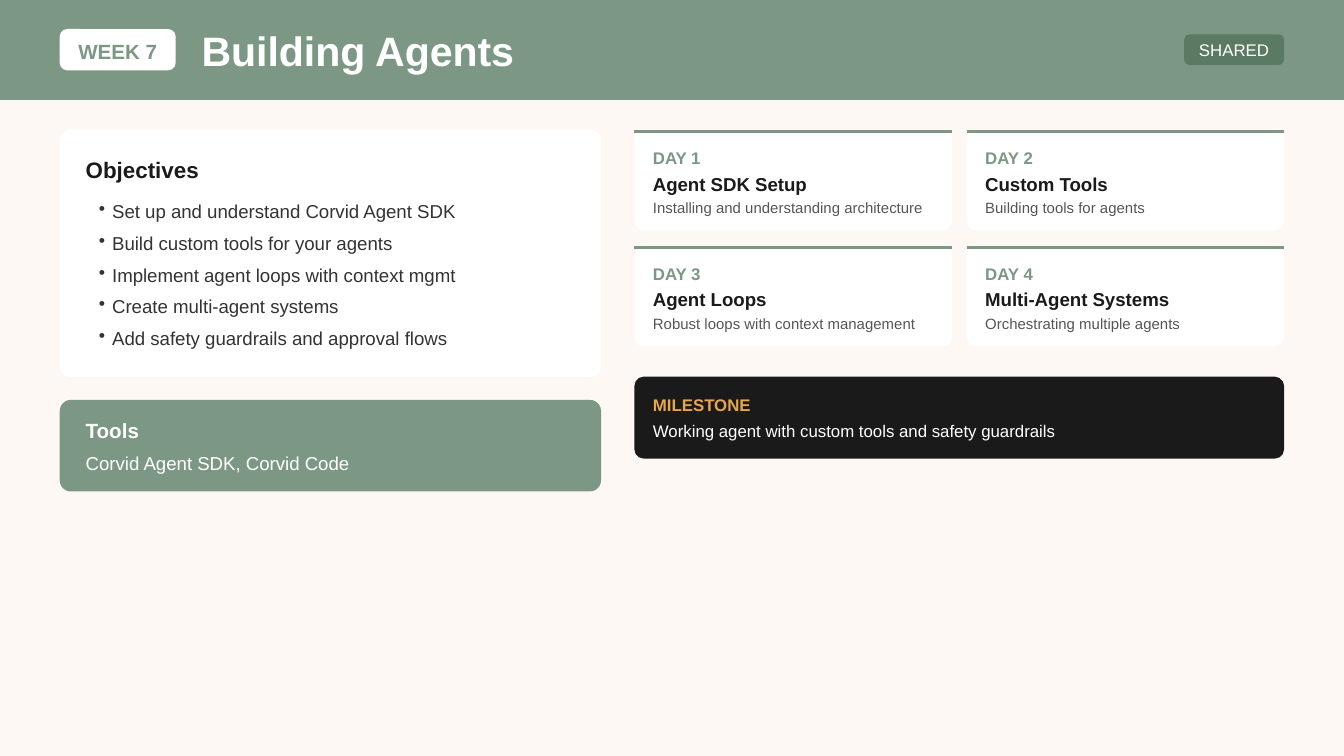
from dataclasses import dataclass

from lxml import etree
from pptx import Presentation
from pptx.dml.color import RGBColor
from pptx.enum.shapes import MSO_CONNECTOR, MSO_SHAPE
from pptx.enum.text import MSO_ANCHOR, MSO_AUTO_SIZE, PP_ALIGN
from pptx.oxml.ns import qn
from pptx.util import Cm, Pt

RECTANGLE = MSO_SHAPE.RECTANGLE
ROUNDED = MSO_SHAPE.ROUNDED_RECTANGLE
STRAIGHT = MSO_CONNECTOR.STRAIGHT
TOP = MSO_ANCHOR.TOP
LEFT = PP_ALIGN.LEFT
NO_AUTOFIT = MSO_AUTO_SIZE.NONE
TITLE_ONLY = 5


@dataclass(frozen=True)
class Theme:
    font: str = "Arial"
    cream: str = "FDF8F3"
    sage: str = "7C9885"
    moss: str = "5A7A63"
    white: str = "FFFFFF"
    ink: str = "1A1A1A"
    body: str = "333333"
    muted: str = "555555"
    amber: str = "E8A54B"
    title_size: int = 22
    heading_size: int = 12
    label_size: int = 11
    body_size: int = 10
    small_size: int = 9
    caption_size: int = 8


class SlideBuilder:
    def __init__(self, page, theme):
        self.page = page
        self.theme = theme
        fill = page.background.fill
        fill.solid()
        fill.fore_color.rgb = RGBColor.from_string(theme.cream)

    def panel(self, left, top, width, height, color, corner=None):
        kind = RECTANGLE if corner is None else ROUNDED
        box = self.page.shapes.add_shape(kind, Cm(left), Cm(top), Cm(width), Cm(height))
        if corner is not None:
            box.adjustments[0] = corner / height
        box.shadow.inherit = False
        box.fill.solid()
        box.fill.fore_color.rgb = RGBColor.from_string(color)
        box.line.fill.background()

    def rule(self, left, top, width, color):
        line = self.page.shapes.add_connector(
            STRAIGHT, Cm(left), Cm(top), Cm(left + width), Cm(top))
        line.line.color.rgb = RGBColor.from_string(color)
        line.line.width = Pt(1.5)
        etree.SubElement(line._element.spPr, qn("a:effectLst"))

    def fill_text(self, box, lines, size, color, bold=False):
        frame = box.text_frame
        frame.word_wrap = True
        frame.auto_size = NO_AUTOFIT
        frame.vertical_anchor = TOP
        frame.margin_left = frame.margin_top = 0
        frame.margin_right = frame.margin_bottom = 0
        for index, line in enumerate(lines):
            para = frame.add_paragraph() if index else frame.paragraphs[0]
            para.alignment = LEFT
            span = para.add_run()
            span.text = line
            span.font.name = self.theme.font
            span.font.size = Pt(size)
            span.font.bold = bold
            span.font.color.rgb = RGBColor.from_string(color)
        return frame

    def text(self, left, top, width, height, line, size, color, bold=False):
        box = self.page.shapes.add_textbox(Cm(left), Cm(top), Cm(width), Cm(height))
        self.fill_text(box, [line], size, color, bold)

    def title(self, left, top, width, height, line):
        box = self.page.shapes.title
        box.left, box.top, box.width, box.height = Cm(left), Cm(top), Cm(width), Cm(height)
        self.page.shapes._spTree.append(box._element)
        self.fill_text(box, [line], self.theme.title_size, self.theme.white, True)

    def bullets(self, left, top, width, height, lines):
        box = self.page.shapes.add_textbox(Cm(left), Cm(top), Cm(width), Cm(height))
        frame = self.fill_text(box, lines, self.theme.body_size, self.theme.body)
        frame.margin_left = Cm(0.25)
        for para in frame.paragraphs:
            para.space_after = Pt(5)
            properties = para._p.get_or_add_pPr()
            properties.set("marL", str(Cm(0.25)))
            properties.set("indent", str(-Cm(0.25)))
            etree.SubElement(properties, qn("a:buChar"), char="•")

    def day_card(self, left, top, width, height, label, topic, summary):
        theme = self.theme
        self.panel(left, top, width, height, theme.white, 0.18)
        self.rule(left, top + 0.04, width, theme.sage)
        inset = left + 0.35
        self.text(inset, top + 0.34, 5.4, 0.37, label, theme.small_size, theme.sage, True)
        self.text(inset, top + 0.81, 5.4, 0.41, topic, theme.body_size, theme.ink, True)
        self.text(inset, top + 1.31, 5.4, 0.32, summary, theme.caption_size, theme.muted)


def main():
    theme = Theme()
    deck = Presentation()
    deck.slide_width, deck.slide_height = Cm(25.4), Cm(14.29)
    page = deck.slides.add_slide(deck.slide_layouts[TITLE_ONLY])
    builder = SlideBuilder(page, theme)

    margin, inset = 1.13, 1.62
    builder.panel(0, 0, 25.4, 1.89, theme.sage)
    builder.panel(margin, 0.55, 2.19, 0.78, theme.white, 0.14)
    builder.text(1.48, 0.74, 1.6, 0.43, "WEEK 7", theme.label_size, theme.sage, True)
    builder.title(3.81, 0.48, 6.2, 0.9, "Building Agents")
    builder.panel(22.38, 0.65, 1.89, 0.58, theme.moss, 0.11)
    builder.text(22.66, 0.76, 1.5, 0.37, "SHARED", theme.small_size, theme.white)

    column_width = 10.23
    builder.panel(margin, 2.45, column_width, 4.68, theme.white, 0.21)
    builder.text(inset, 2.95, 9.42, 0.48, "Objectives", theme.heading_size, theme.ink, True)
    builder.bullets(inset, 3.78, 9.25, 2.7, [
        "Set up and understand Corvid Agent SDK",
        "Build custom tools for your agents",
        "Implement agent loops with context mgmt",
        "Create multi-agent systems",
        "Add safety guardrails and approval flows",
    ])
    builder.panel(margin, 7.56, column_width, 1.73, theme.sage, 0.21)
    builder.text(inset, 7.9, 9.42, 0.43, "Tools", theme.label_size, theme.white, True)
    builder.text(inset, 8.54, 9.42, 0.41, "Corvid Agent SDK, Corvid Code",
                 theme.body_size, theme.white)

    cards_left, cards_top = 11.99, 2.45
    card_width, card_height, gap = 6, 1.91, 0.28
    days = [
        ("Agent SDK Setup", "Installing and understanding architecture"),
        ("Custom Tools", "Building tools for agents"),
        ("Agent Loops", "Robust loops with context management"),
        ("Multi-Agent Systems", "Orchestrating multiple agents"),
    ]
    for index, (topic, summary) in enumerate(days):
        row, column = divmod(index, 2)
        builder.day_card(cards_left + column * (card_width + gap),
                         cards_top + row * (card_height + gap),
                         card_width, card_height, f"DAY {index + 1}", topic, summary)

    builder.panel(cards_left, 7.12, 2 * card_width + gap, 1.55, theme.ink, 0.18)
    builder.text(cards_left + 0.35, 7.47, 11.8, 0.37, "MILESTONE",
                 theme.small_size, theme.amber, True)
    builder.text(cards_left + 0.35, 7.95, 11.8, 0.37,
                 "Working agent with custom tools and safety guardrails",
                 theme.small_size, theme.white)

    deck.save("out.pptx")


if __name__ == "__main__":
    main()
